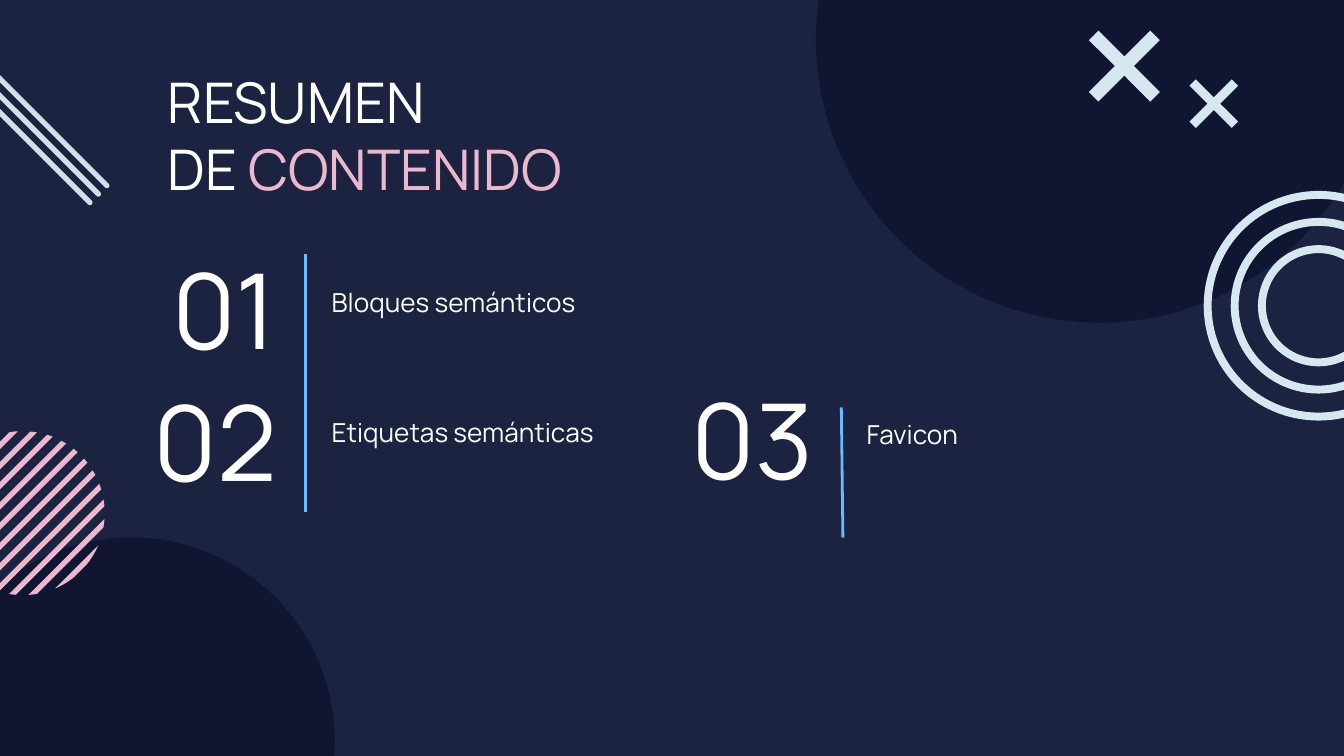
from math import asin, cos, pi, sin

from lxml.etree import SubElement
from pptx import Presentation
from pptx.dml.color import RGBColor
from pptx.enum.shapes import MSO_CONNECTOR, MSO_SHAPE
from pptx.enum.text import MSO_ANCHOR, MSO_AUTO_SIZE, PP_ALIGN
from pptx.oxml.ns import qn
from pptx.util import Cm, Pt

FONT = "Manrope"
HUES = {"back": "1C2340", "deep": "101632", "pink": "ECB8CE", "pale": "D7E7EF",
        "bar": "D2DFE9", "rule": "67BBFF", "white": "FFFFFF"}
TITLE = [[("RESUMEN", "white")], [("DE ", "white"), ("CONTENIDO", "pink")]]
TOPICS = [
    ("01", (1.8, 5.49), "Bloques semánticos", (6.02, 5.16)),
    ("02", (1.8, 7.98), "Etiquetas semánticas", (6.02, 7.62)),
    ("03", (11.94, 7.95), "Favicon", (16.13, 7.65)),
]
RULES = [(5.77, 4.8, 5.77, 9.68), (15.9, 7.7, 15.93, 10.16)]
DISCS = [(2.48, 14.01, 7.7), (20.78, 0.74, 10.72)]
RINGS = [4.34, 3.32, 2.29]
CROSSES = [(22.94, 1.96, 0.46, 0.12), (21.25, 1.25, 0.67, 0.18)]


def hue(name):
    """Return a named colour."""
    return RGBColor.from_string(HUES[name])


def write(frame, lines, size=14, align=PP_ALIGN.LEFT, anchor=MSO_ANCHOR.TOP):
    """Fill a text frame with lines of coloured runs."""
    frame.word_wrap = True
    frame.auto_size = MSO_AUTO_SIZE.NONE
    frame.vertical_anchor = anchor
    frame.margin_left = frame.margin_right = Cm(0.25)
    frame.margin_top = frame.margin_bottom = Cm(0.25)
    for i, line in enumerate(lines):
        para = frame.add_paragraph() if i else frame.paragraphs[0]
        para.alignment = align
        for words, name in line:
            run = para.add_run()
            run.text = words
            run.font.name = FONT
            run.font.size = Pt(size)
            run.font.color.rgb = hue(name)


def paint(shape, name):
    """Give a shape a flat fill without line or shadow."""
    shape.shadow.inherit = False
    shape.fill.solid()
    shape.fill.fore_color.rgb = hue(name)
    shape.line.fill.background()


def place(slide, kind, x, y, wide, high, name):
    """Add a preset shape around a centre."""
    shape = slide.shapes.add_shape(
        kind, Cm(x - wide / 2), Cm(y - high / 2), Cm(wide), Cm(high))
    paint(shape, name)
    return shape


def trace(slide, spots, name):
    """Add a closed outline through the given points."""
    spots = [(Cm(x), Cm(y)) for x, y in spots]
    maker = slide.shapes.build_freeform(*spots[0])
    maker.add_line_segments(spots[1:], close=True)
    paint(maker.convert_to_shape(), name)


def hatch(slide, x, y, rad):
    """Draw diagonal stripes clipped to a circle."""
    for i in range(-5, 6):
        mid = 0.14 + 0.27 * i
        low, high = (asin(max(-1, min(1, (mid + d) / rad))) for d in (-0.05, 0.05))
        arc = [low + (high - low) * k / 8 for k in range(9)]
        turns = arc + [pi - a for a in reversed(arc)]
        trace(slide, [(x + rad * cos(a - pi / 4), y + rad * sin(a - pi / 4))
                      for a in turns], "pink")


def cross(slide, x, y, half, arm):
    """Draw a diagonal cross from one quarter turned four times."""
    part = [(0, -arm), (half - arm, -half), (half, arm - half)]
    spots = []
    for _ in range(4):
        spots += [(x + u, y + v) for u, v in part]
        part = [(-v, u) for u, v in part]
    trace(slide, spots, "pale")


def rule(slide, ends):
    """Draw a straight line without shadow."""
    line = slide.shapes.add_connector(MSO_CONNECTOR.STRAIGHT, *map(Cm, ends))
    line.line.color.rgb = hue("rule")
    line.line.width = Pt(1.5)
    SubElement(line._element.spPr, qn("a:effectLst"))


def main():
    """Build and save the slide."""
    deck = Presentation()
    deck.slide_width, deck.slide_height = Cm(25.4), Cm(14.29)
    slide = deck.slides.add_slide(deck.slide_layouts[5])
    slide.background.fill.solid()
    slide.background.fill.fore_color.rgb = hue("back")

    head = slide.shapes.title
    head.left, head.top, head.width, head.height = map(Cm, (2.92, 1.02, 10.29, 2.49))
    write(head.text_frame, TITLE, size=30)

    for x, y, wide in DISCS:
        place(slide, MSO_SHAPE.OVAL, x, y, wide, wide, "deep")
    hatch(slide, 0.43, 9.7, 1.55)
    for wide in RINGS:
        ring = place(slide, MSO_SHAPE.DONUT, 24.92, 5.78, wide, wide, "pale")
        ring.adjustments[0] = 0.15 / wide
    for i in range(3):
        bar = place(slide, MSO_SHAPE.ROUNDED_RECTANGLE, 0.58 - 0.16 * i,
                    2.07 + 0.16 * i, 4.17, 0.1, "bar")
        bar.adjustments[0] = 0.5
        bar.rotation = 45
    for item in CROSSES:
        cross(slide, *item)

    for mark, spot, words, site in TOPICS:
        box = slide.shapes.add_textbox(*map(Cm, (*spot, 3.68, 0.66)))
        write(box.text_frame, [[(mark, "white")]], size=56,
              align=PP_ALIGN.RIGHT, anchor=MSO_ANCHOR.MIDDLE)
        box = slide.shapes.add_textbox(*map(Cm, (*site, 6.53, 1.12)))
        write(box.text_frame, [[(words, "white")]])
    for ends in RULES:
        rule(slide, ends)
    deck.save("out.pptx")


if __name__ == "__main__":
    main()
